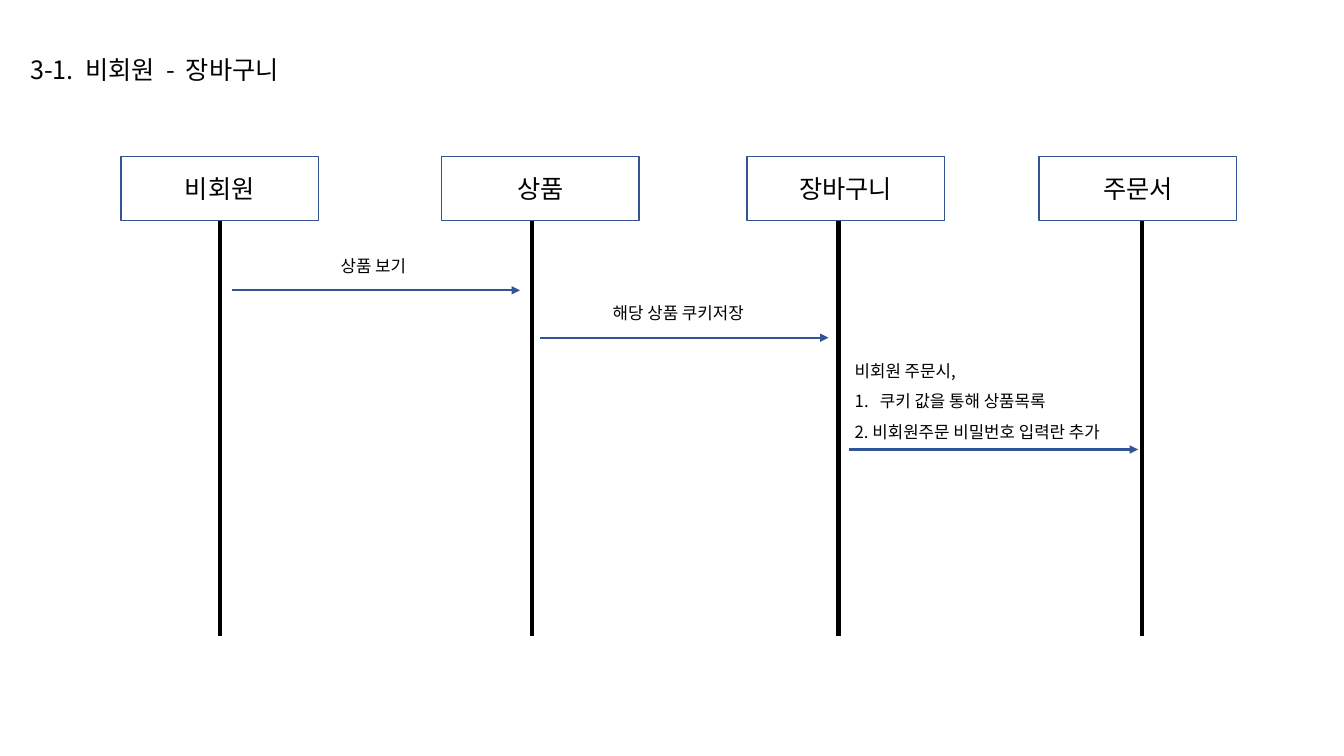
"""Build the guest shopping-cart sequence diagram slide."""
from dataclasses import dataclass

import pptx
import pptx.dml.color
import pptx.enum.shapes
import pptx.enum.text
import pptx.oxml
import pptx.oxml.ns
import pptx.util

FONT = "Noto Sans CJK KR"
BLACK = "000000"
BOX_BLUE = "325491"
ARROW_BLUE = "2F5597"
BOX_TOP, BOX_WIDTH, BOX_HEIGHT = 111.6, 141.1, 46.1
LIFELINE_TOP, LIFELINE_BOTTOM = 157, 454.3


@dataclass(frozen=True)
class Actor:
    name: str
    box_left: float
    lifeline_x: float


@dataclass(frozen=True)
class Message:
    lines: tuple[str, ...]
    label: tuple[float, float, float, float]
    start_x: float
    end_x: float
    y: float
    line_spacing: float = 1.0
    numbered: tuple[int, ...] = ()


ACTORS = (
    Actor("비회원", 86.4, 157),
    Actor("상품", 315.4, 380.2),
    Actor("장바구니", 533.5, 599),
    Actor("주문서", 742.3, 815.8),
)
MESSAGES = (
    Message(("상품 보기",), (236.2, 179.3, 92.2, 21.6), 165.6, 371.5, 207.4),
    Message(("해당 상품 쿠키저장",), (430.6, 212.4, 120.2, 21.6), 385.9, 591.8, 241.2),
    Message(
        ("비회원 주문시, ", "쿠키 값을 통해 상품목록", "2. 비회원주문 비밀번호 입력란 추가"),
        (603.4, 247, 219.6, 69.8), 606.2, 812.9, 321.1, 1.5, (1,),
    ),
)


def color(value: str) -> pptx.dml.color.RGBColor:
    return pptx.dml.color.RGBColor.from_string(value)


def points(*values: float) -> list[pptx.util.Length]:
    return [pptx.util.Pt(value) for value in values]


def add_xml(parent, tag: str, **attributes: str):
    element = pptx.oxml.parse_xml(f"<a:{tag} {pptx.oxml.ns.nsdecls('a')}/>")
    for name, value in attributes.items():
        element.set(name, value)
    parent.append(element)
    return element


def format_run(run, size: float) -> None:
    run.font.size = pptx.util.Pt(size)
    run.font.name = FONT
    run.font.color.rgb = color(BLACK)
    add_xml(run.font._element, "ea", typeface=FONT)


def add_title(slide, text: str) -> None:
    title = slide.shapes.title
    title.left, title.top, title.width, title.height = points(14.4, 35.3, 200.2, 51.1)
    frame = title.text_frame
    frame.word_wrap = False
    frame.auto_size = pptx.enum.text.MSO_AUTO_SIZE.NONE
    frame.vertical_anchor = pptx.enum.text.MSO_ANCHOR.TOP
    paragraph = frame.paragraphs[0]
    paragraph.alignment = pptx.enum.text.PP_ALIGN.LEFT
    for index, word in enumerate(text.split()):
        if index:
            space = paragraph.add_run()
            space.text = " "
            format_run(space, 18)
            space.font._element.set("spc", "400")
        run = paragraph.add_run()
        run.text = word
        format_run(run, 18)


def add_line(slide, start: tuple[float, float], end: tuple[float, float],
             line_color: str, width: float, arrow: bool = False) -> None:
    connector = slide.shapes.add_connector(
        pptx.enum.shapes.MSO_CONNECTOR.STRAIGHT, *points(*start, *end))
    connector.line.color.rgb = color(line_color)
    connector.line.width = pptx.util.Pt(width)
    if arrow:
        add_xml(connector.line._get_or_add_ln(), "tailEnd", type="triangle")
    add_xml(connector._element.spPr, "effectLst")


def add_actor(slide, actor: Actor) -> None:
    add_line(slide, (actor.lifeline_x, LIFELINE_TOP),
             (actor.lifeline_x, LIFELINE_BOTTOM), BLACK, 3)
    box = slide.shapes.add_shape(
        pptx.enum.shapes.MSO_SHAPE.RECTANGLE,
        *points(actor.box_left, BOX_TOP, BOX_WIDTH, BOX_HEIGHT))
    box.shadow.inherit = False
    box.fill.background()
    box.line.color.rgb = color(BOX_BLUE)
    box.line.width = pptx.util.Pt(1)
    box.text_frame.text = actor.name
    box.text_frame.vertical_anchor = pptx.enum.text.MSO_ANCHOR.MIDDLE
    paragraph = box.text_frame.paragraphs[0]
    paragraph.alignment = pptx.enum.text.PP_ALIGN.CENTER
    format_run(paragraph.runs[0], 18)


def number_paragraph(paragraph) -> None:
    properties = paragraph._p.get_or_add_pPr()
    indent = pptx.util.Pt(18)
    properties.set("marL", str(indent))
    properties.set("indent", str(-indent))
    add_xml(properties, "buFont", typeface=FONT)
    add_xml(properties, "buAutoNum", type="arabicPeriod")


def add_message(slide, message: Message) -> None:
    add_line(slide, (message.start_x, message.y), (message.end_x, message.y),
             ARROW_BLUE, 1.5, arrow=True)
    frame = slide.shapes.add_textbox(*points(*message.label)).text_frame
    frame.word_wrap = True
    frame.text = "\n".join(message.lines)
    for index, paragraph in enumerate(frame.paragraphs):
        paragraph.line_spacing = message.line_spacing
        if index in message.numbered:
            number_paragraph(paragraph)
        format_run(paragraph.runs[0], 12)


def main() -> None:
    presentation = pptx.Presentation()
    presentation.slide_width, presentation.slide_height = points(960, 540)
    slide = presentation.slides.add_slide(presentation.slide_layouts[5])
    add_title(slide, "3-1. 비회원 - 장바구니")
    for actor in ACTORS:
        add_actor(slide, actor)
    for message in MESSAGES:
        add_message(slide, message)
    presentation.save("out.pptx")


main()
